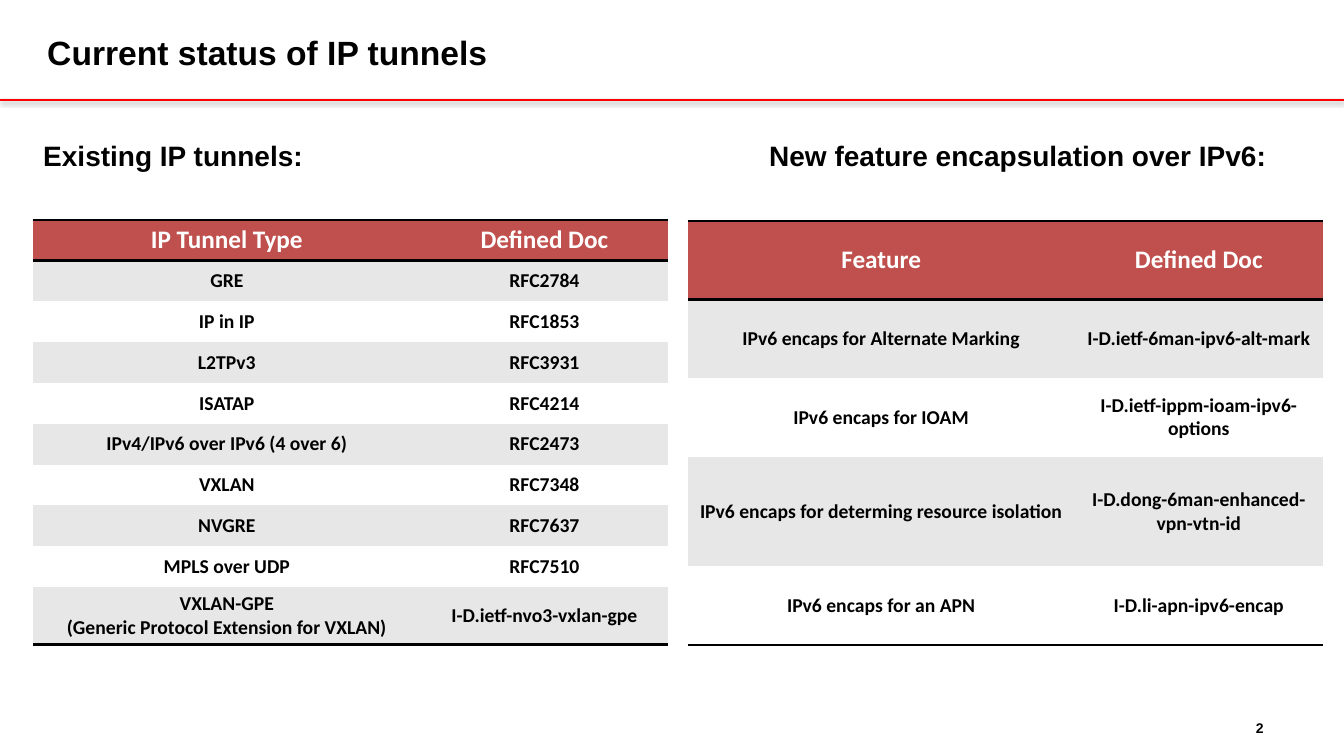
from lxml import etree
from pptx import Presentation
from pptx import util as u
from pptx.dml import color
from pptx.enum import shapes, text
from pptx.oxml import ns

COLORS = {"ink": "000000", "rule": "FF0000", "header": "C0504D",
          "header_text": "FFFFFF", "band": "E7E7E7", "plain": "FFFFFF"}

LEFT, RIGHT = text.PP_ALIGN.LEFT, text.PP_ALIGN.RIGHT
CENTER = text.PP_ALIGN.CENTER
TOP, MIDDLE = text.MSO_ANCHOR.TOP, text.MSO_ANCHOR.MIDDLE

LABELS = [
    ("Current status of IP tunnels", (0.37, 0.13, 12.68, 0.78), 24, LEFT, MIDDLE),
    ("Existing IP tunnels:", (0.33, 1.32, 3.78, 0.44), 20, LEFT, TOP),
    ("New feature encapsulation over IPv6:", (7.53, 1.32, 5.17, 0.44), 20, LEFT, TOP),
    ("2", (12.02, 7.02, 0.61, 0.4), 10, RIGHT, MIDDLE),
]

TUNNELS = [
    ("IP Tunnel Type", "Defined Doc"),
    ("GRE", "RFC2784"),
    ("IP in IP", "RFC1853"),
    ("L2TPv3", "RFC3931"),
    ("ISATAP", "RFC4214"),
    ("IPv4/IPv6 over IPv6 (4 over 6)", "RFC2473"),
    ("VXLAN", "RFC7348"),
    ("NVGRE", "RFC7637"),
    ("MPLS over UDP", "RFC7510"),
    ("VXLAN-GPE\n(Generic Protocol Extension for VXLAN)", "I-D.ietf-nvo3-vxlan-gpe"),
]
FEATURES = [
    ("Feature", "Defined Doc"),
    ("IPv6 encaps for Alternate Marking", "I-D.ietf-6man-ipv6-alt-mark"),
    ("IPv6 encaps for IOAM", "I-D.ietf-ippm-ioam-ipv6-options"),
    ("IPv6 encaps for determing resource isolation", "I-D.dong-6man-enhanced-vpn-vtn-id"),
    ("IPv6 encaps for an APN", "I-D.li-apn-ipv6-encap"),
]
TABLES = [
    (TUNNELS, 0.33, 2.18, [0.405] * 9 + [0.57]),
    (FEATURES, 6.82, 2.19, [0.78, 0.78, 0.78, 1.09, 0.78]),
]
COLUMNS = (3.84, 2.46)


def rgb(name):
    return color.RGBColor.from_string(COLORS[name])


def write(frame, wording, size, font, ink, align):
    for i, line in enumerate(wording.split("\n")):
        paragraph = frame.paragraphs[0] if i == 0 else frame.add_paragraph()
        paragraph.alignment = align
        run = paragraph.add_run()
        run.text = line
        run.font.size, run.font.bold, run.font.name = u.Pt(size), True, font
        run.font.color.rgb = rgb(ink)


def add_border(cell, side, visible):
    line = etree.SubElement(cell._tc.get_or_add_tcPr(), ns.qn("a:ln" + side))
    if visible:
        line.set("w", str(u.Pt(2)))
        fill = etree.SubElement(line, ns.qn("a:solidFill"))
        etree.SubElement(fill, ns.qn("a:srgbClr"), val=COLORS["ink"])
    else:
        etree.SubElement(line, ns.qn("a:noFill"))


def add_grid(slide, rows, left, top, heights):
    table = slide.shapes.add_table(
        len(rows), len(COLUMNS), u.Inches(left), u.Inches(top),
        u.Inches(sum(COLUMNS)), u.Inches(sum(heights))).table
    for column, width in zip(table.columns, COLUMNS):
        column.width = u.Inches(width)
    for r, (row, height) in enumerate(zip(rows, heights)):
        table.rows[r].height = u.Inches(height)
        is_header = r == 0
        background = "header" if is_header else "band" if r % 2 else "plain"
        for c, wording in enumerate(row):
            cell = table.cell(r, c)
            cell.vertical_anchor = MIDDLE
            write(cell.text_frame, wording, 18 if is_header else 14, "Calibri",
                  "header_text" if is_header else "ink", CENTER)
            for side, visible in (("L", False), ("R", False), ("T", r <= 1),
                                  ("B", r in (0, len(rows) - 1))):
                add_border(cell, side, visible)
            cell.fill.solid()
            cell.fill.fore_color.rgb = rgb(background)


deck = Presentation()
deck.slide_width, deck.slide_height = u.Inches(13.33), u.Inches(7.5)
slide = deck.slides.add_slide(deck.slide_layouts[6])

rule = slide.shapes.add_connector(shapes.MSO_CONNECTOR.STRAIGHT, 0, u.Inches(0.99),
                                  deck.slide_width, u.Inches(0.99))
rule.line.color.rgb = rgb("rule")
rule.line.width = u.Pt(1.5)
effects = etree.SubElement(rule._element.spPr, ns.qn("a:effectLst"))
shadow = etree.SubElement(effects, ns.qn("a:outerShdw"), blurRad=str(u.Pt(3.1)),
                          dist=str(u.Pt(1.6)), dir="5400000", rotWithShape="0")
shade = etree.SubElement(shadow, ns.qn("a:srgbClr"), val=COLORS["ink"])
etree.SubElement(shade, ns.qn("a:alpha"), val="38000")

for wording, place, size, align, anchor in LABELS:
    frame = slide.shapes.add_textbox(*map(u.Inches, place)).text_frame
    frame.word_wrap = True
    frame.vertical_anchor = anchor
    write(frame, wording, size, "Arial", "ink", align)

for rows, left, top, heights in TABLES:
    add_grid(slide, rows, left, top, heights)

deck.save("out.pptx")
